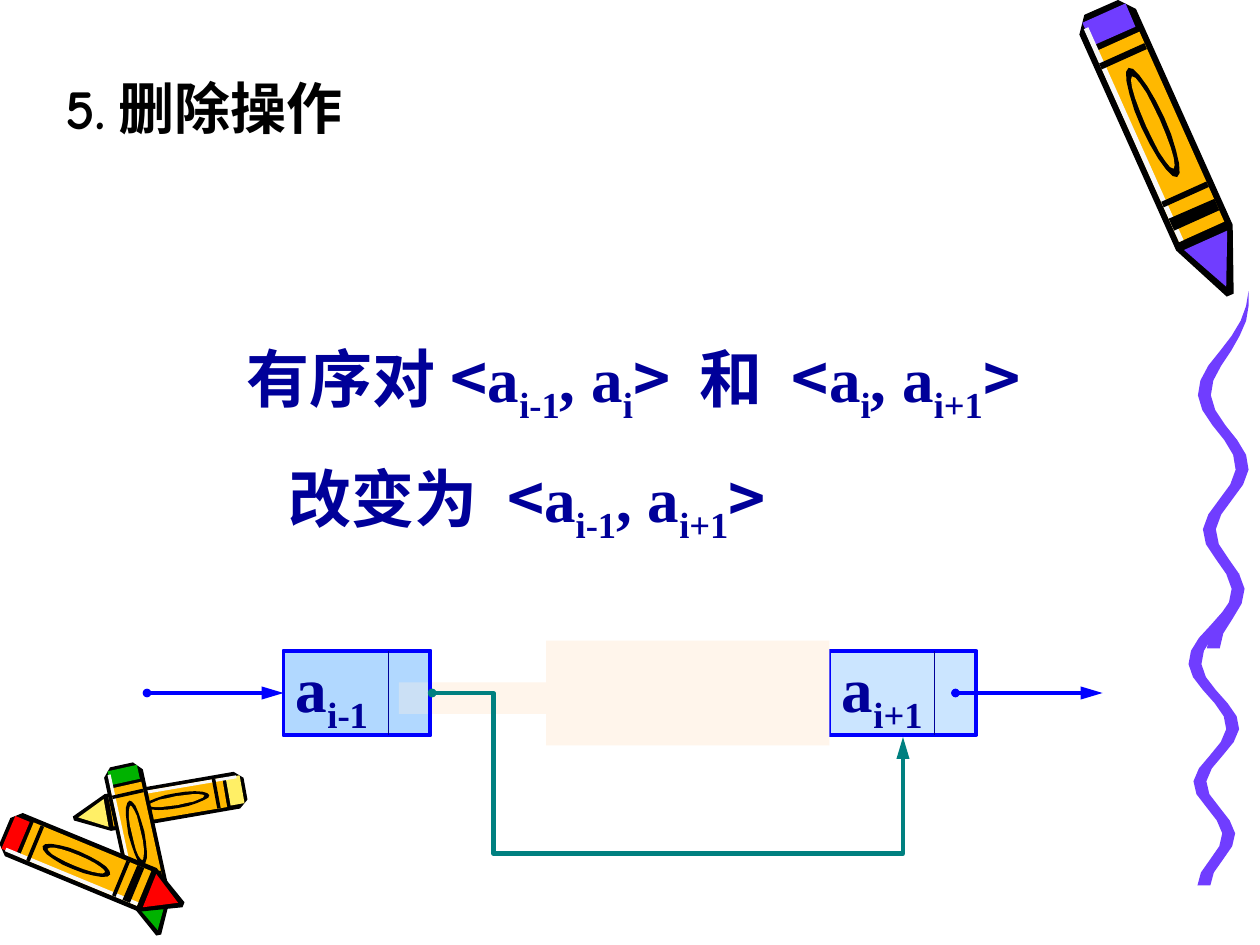
import math

import pptx
import pptx.dml.color
import pptx.enum.shapes
import pptx.enum.text
import pptx.oxml.ns
import pptx.util
from lxml import etree
from pptx.util import Cm

COLOURS = {
    "ink": "000000", "navy": "000099", "blue": "0000FF", "sky": "99CCFF",
    "cream": "FFF5EB", "teal": "008080", "violet": "703DFF", "amber": "FFB800",
    "white": "F8F8F8", "lemon": "FFEF66", "red": "FF0000", "green": "00B200",
}
RGB = {key: pptx.dml.color.RGBColor.from_string(value) for key, value in COLOURS.items()}
FONTS = {"heading": "Comic Neue", "cjk": "Noto Sans CJK SC",
         "serif": "Times New Roman", "sub": "Times New Roman"}
FRAME_FORMAT = {
    "margin_left": Cm(0.25), "margin_right": Cm(0.25),
    "margin_top": Cm(0.13), "margin_bottom": Cm(0.13), "word_wrap": True,
    "auto_size": pptx.enum.text.MSO_AUTO_SIZE.NONE,
    "vertical_anchor": pptx.enum.text.MSO_ANCHOR.TOP,
}
GRID = Cm(2.54) // 12  # unit of the linked list diagram
qn = pptx.oxml.ns.qn


def add_outline(corners, colour):
    """Draw a closed, filled outline through complex points x + yj given in cm."""
    points = [(corner.real * 100, corner.imag * 100) for corner in corners]
    builder = slide.shapes.build_freeform(*points[0], scale=Cm(0.01))
    builder.add_line_segments(points[1:], close=True)
    outline = builder.convert_to_shape()
    outline.shadow.inherit = False
    outline.fill.solid()
    outline.fill.fore_color.rgb = RGB[colour]
    outline.line.fill.background()


def write_runs(paragraph, pieces, size=36, colour="navy"):
    """Fill a left-aligned paragraph with (role, text) runs; "sub" is a subscript."""
    paragraph.alignment = pptx.enum.text.PP_ALIGN.LEFT
    for role, text in pieces:
        run = paragraph.add_run()
        run.text = text
        run.font.color.rgb = RGB[colour]
        font_format = {"name": FONTS[role], "size": pptx.util.Pt(size), "bold": True}
        for key, value in font_format.items():
            setattr(run.font, key, value)
        properties = run._r.get_or_add_rPr()
        etree.SubElement(properties, qn("a:ea")).set("typeface", FONTS["cjk"])
        if role == "sub":
            properties.set("baseline", "-25000")


deck = pptx.Presentation()
deck.slide_width, deck.slide_height = Cm(25.4), Cm(19.05)
slide = deck.slides.add_slide(deck.slide_layouts[1])

# One crayon pattern: (along, across) runs from butt 0 to tip 1 and edge -0.5 to 0.5
turns = [math.tau * step / 20 for step in range(20)]
label, label_core = [
    [(0.4 + length * math.cos(turn), breadth * math.sin(turn)) for turn in turns]
    for length, breadth in ((0.19, 0.2), (0.16, 0.12))
]
bands = [  # colour, start, end, lower edge, upper edge
    ("cap", 0.02, 0.1, -0.38, 0.38),
    ("amber", 0.12, 0.78, -0.4, 0.4),
    ("white", 0.04, 0.78, 0.32, 0.4),
    ("ink", 0.16, 0.18, -0.4, 0.4),
    ("ink", 0.64, 0.66, -0.4, 0.4),
    ("ink", 0.7, 0.74, -0.4, 0.4),
]
shell = [(0, -0.3), (0, 0.3), (0.05, 0.5), (0.8, 0.5), (1, 0.06), (1, -0.06), (0.8, -0.5), (0.05, -0.5)]
tip_cone = [(0.81, -0.38), (0.81, 0.38), (0.97, 0)]
crayon_parts = [("ink", shell)]
for colour, start, end, low, high in bands:
    crayon_parts.append((colour, [(start, low), (start, high), (end, high), (end, low)]))
crayon_parts += [("cap", tip_cone), ("ink", label), ("amber", label_core)]

CRAYONS = [  # cap colour, butt, tip, width
    ("violet", 22.2 + 0.15j, 24.8 + 5.95j, 1.25),
    ("lemon", 4.95 + 15.9j, 1.48 + 16.5j, 0.75),
    ("green", 2.45 + 15.42j, 3.2 + 18.85j, 0.8),
    ("red", 0.1 + 16.75j, 3.7 + 18.24j, 0.95),
]
for cap, butt, tip, width in CRAYONS:
    axis = tip - butt
    for colour, outline in crayon_parts:
        corners = [butt + axis * complex(along, across * width / abs(axis)) for along, across in outline]
        add_outline(corners, cap if colour == "cap" else colour)

# Scribble: two strands that swing in a narrowing wave and start as a thin point
SAMPLES = 24
for centre, top, height in ((24.5, 11.55, 6.3), (24.69, 5.87, 7.2)):
    left_edge, right_edge = [], []
    for sample in range(SAMPLES + 1):
        progress = sample / SAMPLES
        swing = (0.48 - 0.25 * progress) * math.cos(5 * math.pi * progress ** 1.3)
        point = complex(centre + swing, top + height * progress)
        half_width = 0.13 * min(1, 5 * progress)
        left_edge.append(point - half_width)
        right_edge.append(point + half_width)
    add_outline(left_edge + right_edge[::-1], "violet")

# Heading and statement
heading, statement = slide.placeholders
for holder, place in ((heading, (1.07, 1.35, 14.83, 1.63)), (statement, (4.72, 6.02, 16.76, 7.54))):
    for side, length in zip(("left", "top", "width", "height"), place):
        setattr(holder, side, Cm(length))
    for key, value in FRAME_FORMAT.items():
        setattr(holder.text_frame, key, value)
write_runs(heading.text_frame.paragraphs[0], [("heading", "5.删除操作")], 32, "ink")

before = [("cjk", "有序对<"), ("serif", "a"), ("sub", "i-1"), ("serif", ", a"), ("sub", "i"),
          ("cjk", "> 和 <"), ("serif", "a"), ("sub", "i"), ("serif", ", a"), ("sub", "i+1"), ("cjk", ">")]
after = [("cjk", "改变为 <"), ("serif", "a"), ("sub", "i-1"), ("serif", ", a"), ("sub", "i+1"), ("cjk", ">")]
statement.text_frame.add_paragraph()
for paragraph, pieces, margin in zip(statement.text_frame.paragraphs, (before, after), (0, 0.85)):
    paragraph.line_spacing = 1.4
    paragraph.space_before = pptx.util.Pt(0)
    indents = paragraph._p.get_or_add_pPr()
    indents.set("marL", str(Cm(margin)))
    indents.set("indent", "0")
    etree.SubElement(indents, qn("a:buNone"))
    write_runs(paragraph, pieces)

# List nodes and the patches over the removed node, in grid units
node_before, node_after = (27, 62, 14, 8), (79, 62, 14, 8)
old_link_patch, removed_node_patch = (38, 65, 15, 3), (52, 61, 27, 10)
BLOCKS = [(node_before, "i-1"), (node_after, "i+1"), (old_link_patch, None),
          (node_before, "i-1"), (removed_node_patch, None)]
for place, index in BLOCKS:
    block = slide.shapes.add_shape(pptx.enum.shapes.MSO_SHAPE.RECTANGLE, *[GRID * p for p in place])
    block.shadow.inherit = False
    block.fill.solid()
    block.fill.fore_color.rgb = RGB["sky" if index else "cream"]
    if not index:
        block.line.fill.background()
        continue
    tint = block._element.spPr.find(qn("a:solidFill"))[0]
    etree.SubElement(tint, qn("a:alpha")).set("val", "50000")
    block.line.color.rgb = RGB["blue"]
    block.line.width = pptx.util.Pt(2.25)
    for key, value in FRAME_FORMAT.items():
        setattr(block.text_frame, key, value)
    block.text_frame.vertical_anchor = pptx.enum.text.MSO_ANCHOR.MIDDLE
    write_runs(block.text_frame.paragraphs[0], [("serif", "a"), ("sub", index)])

# Dividers, links, and last the new link that bypasses the removed node
LINKS = [  # kind, start and end in grid units, colour, width
    ("STRAIGHT", (37, 62, 37, 70), "navy", 0.75),
    ("STRAIGHT", (89, 62, 89, 70), "navy", 0.75),
    ("STRAIGHT", (14, 66, 27, 66), "blue", 2.5),
    ("STRAIGHT", (91, 66, 105, 66), "blue", 2.5),
    ("ELBOW", (41.16, 66, 86, 70.2), "teal", 2.5),
]
ARROW_ENDS = {
    "a:headEnd": {"type": "oval", "w": "sm", "len": "sm"},
    "a:tailEnd": {"type": "triangle", "w": "med", "len": "lg"},
}
for kind, ends, colour, width in LINKS:
    link = slide.shapes.add_connector(
        getattr(pptx.enum.shapes.MSO_CONNECTOR, kind), *[round(GRID * p) for p in ends])
    link.line.color.rgb = RGB[colour]
    link.line.width = pptx.util.Pt(width)
    properties = link._element.spPr
    if colour != "navy":
        for tag, attributes in ARROW_ENDS.items():
            etree.SubElement(properties.find(qn("a:ln")), qn(tag), attributes)
    etree.SubElement(properties, qn("a:effectLst"))
    if kind == "ELBOW":
        bends = properties.find(qn("a:prstGeom"))
        bends.set("prst", "bentConnector4")
        for name, value in (("adj1", 13000), ("adj2", 364100)):
            etree.SubElement(bends.find(qn("a:avLst")), qn("a:gd"), {"name": name, "fmla": f"val {value}"})

deck.save("out.pptx")
